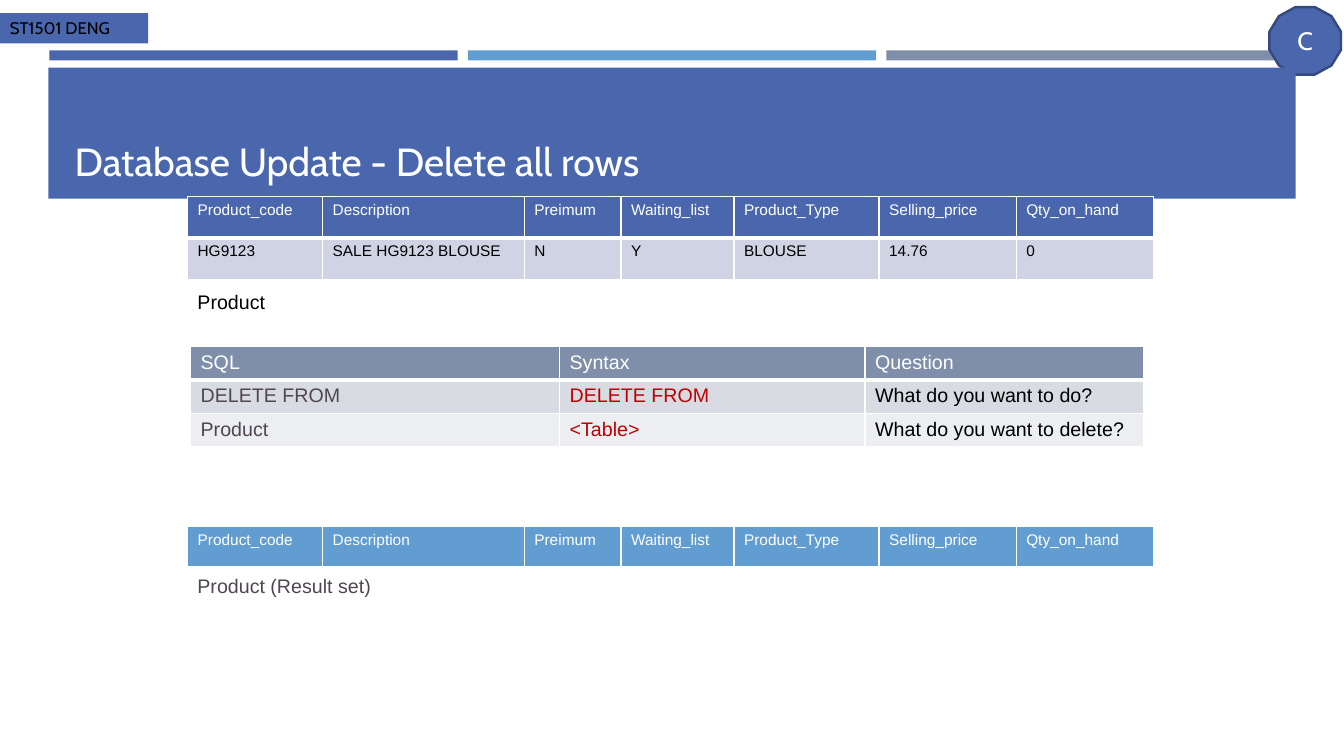
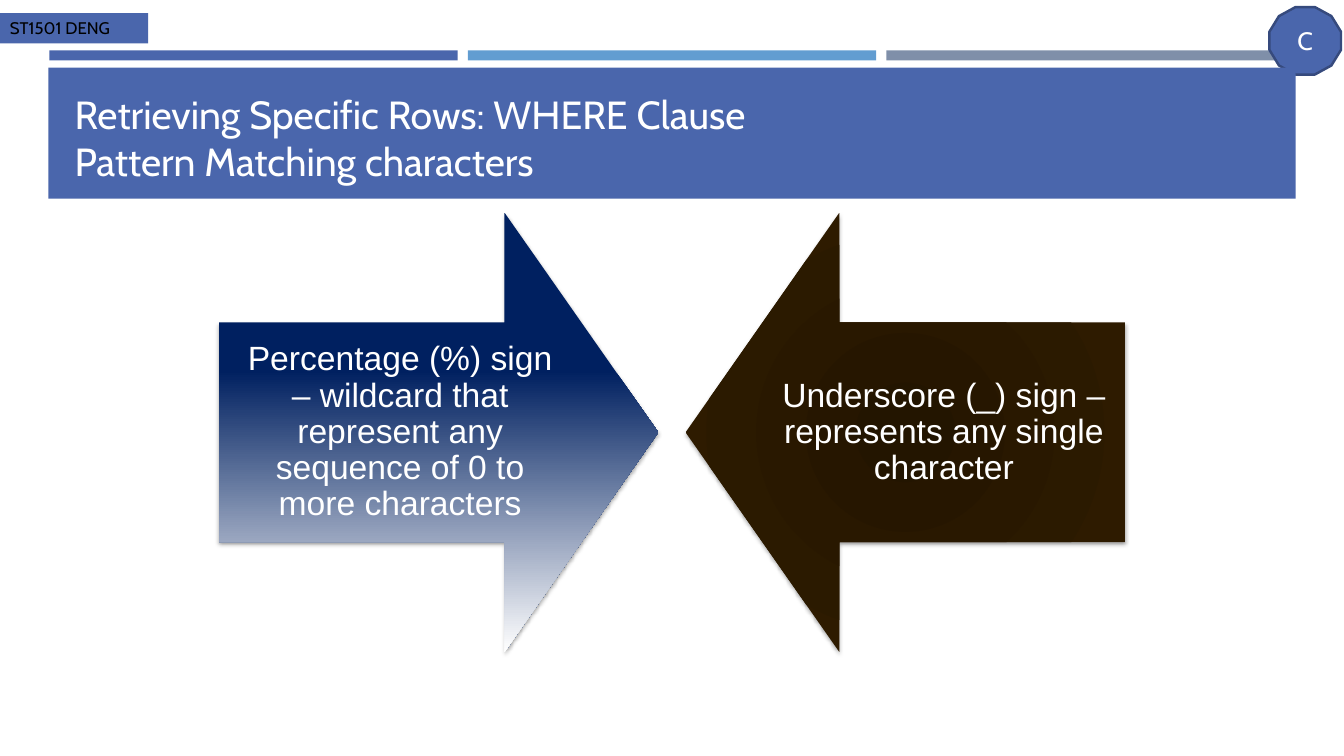
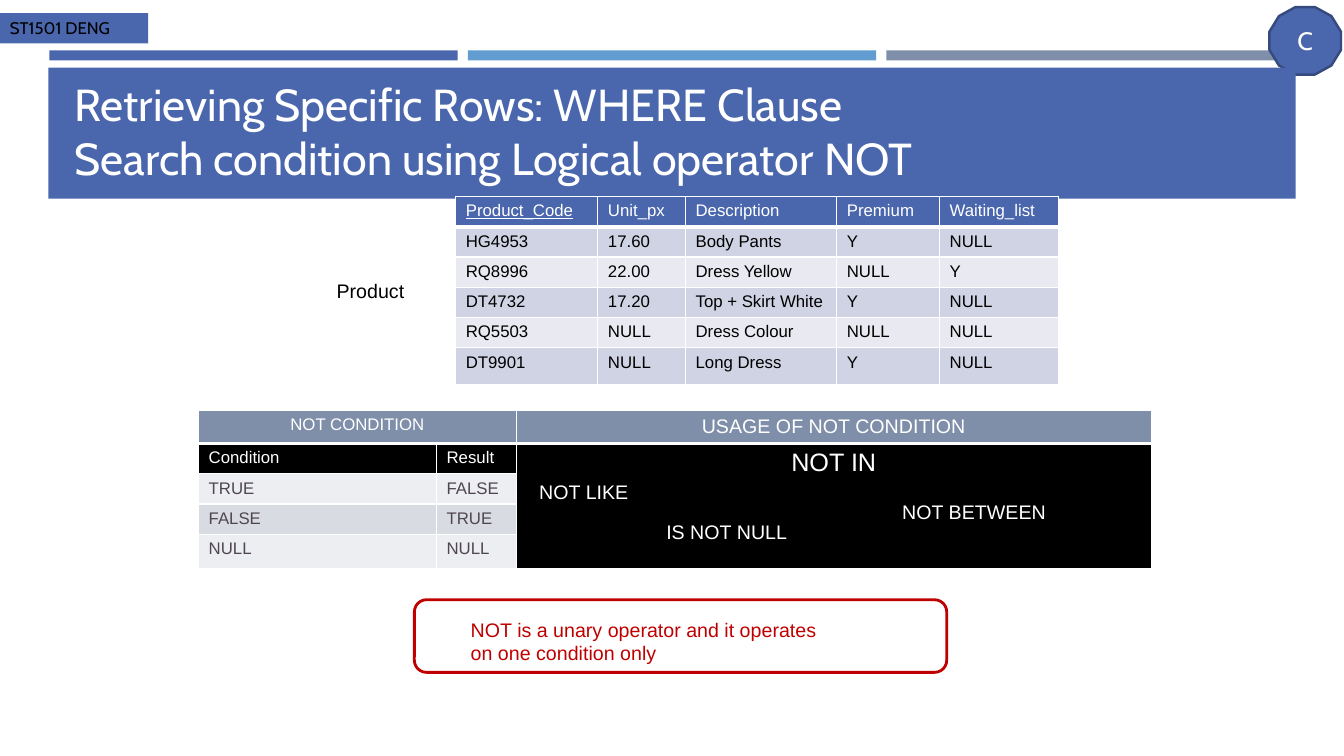
import copy
import itertools

import pptx
import pptx.dml.color
import pptx.enum.shapes
import pptx.enum.text
import pptx.oxml
import pptx.oxml.ns
import pptx.util

Inches = pptx.util.Inches
Pt = pptx.util.Pt
MSO_SHAPE = pptx.enum.shapes.MSO_SHAPE
MSO_ANCHOR = pptx.enum.text.MSO_ANCHOR
MSO_AUTO_SIZE = pptx.enum.text.MSO_AUTO_SIZE
PP_ALIGN = pptx.enum.text.PP_ALIGN
color = pptx.dml.color.RGBColor.from_string
qn = pptx.oxml.ns.qn
NAMESPACE = pptx.oxml.ns.nsdecls("a")

BLUE, SKY, SLATE = "4A66AC", "629DD1", "7F8FA9"
BLUE_BAND, BLUE_PALE = "D0D3E3", "E9EAF1"
SLATE_BAND, SLATE_PALE = "D8DBE2", "ECEEF1"
WHITE, BLACK, RED, PLUM, NAVY = "FFFFFF", "000000", "C00000", "504652", "002060"


def add_text(paragraph, text, size, hex_color, font="Arial"):
    for index, line in enumerate(text.split("\n")):
        if index:
            paragraph.add_line_break()
            paragraph._p[-1].append(copy.deepcopy(run._r.rPr))
        run = paragraph.add_run()
        run.text = line
        run.font.size = Pt(size)
        run.font.name = font
        run.font.color.rgb = color(hex_color)


def add_grid(slide, left, top, widths, heights, rows):
    frame = slide.shapes.add_table(
        len(rows), len(widths), Inches(left), Inches(top),
        Inches(sum(widths)), Inches(sum(heights)))
    table = frame.table
    table.first_row = False
    table.horz_banding = False
    for column, width in zip(table.columns, widths):
        column.width = Inches(width)
    for row, height in zip(table.rows, heights):
        row.height = Inches(height)
    for row_index, (fill, colors, sizes, texts) in enumerate(rows):
        cells = zip(texts, itertools.cycle(colors), itertools.cycle(sizes))
        for column_index, (text, text_color, size) in enumerate(cells):
            cell = table.cell(row_index, column_index)
            properties = cell._tc.get_or_add_tcPr()
            for side in "LRTB":
                width = Pt(3 if side == "B" and row_index == 0 else 1)
                properties.append(pptx.oxml.parse_xml(
                    f'<a:ln{side} {NAMESPACE} w="{width}"><a:solidFill>'
                    f'<a:srgbClr val="{WHITE}"/></a:solidFill></a:ln{side}>'))
            cell.fill.solid()
            cell.fill.fore_color.rgb = color(fill)
            if text:
                add_text(cell.text_frame.paragraphs[0], text, size, text_color)
    return table


presentation = pptx.Presentation()
presentation.slide_width = Inches(13.33)
presentation.slide_height = Inches(7.5)
layout = presentation.slide_layouts[5]

titles = [
    ("Database Update - Delete all rows", 28),
    ("Retrieving Specific Rows: WHERE Clause \nPattern Matching characters", 28),
    ("Retrieving Specific Rows: WHERE Clause \n"
     "Search condition using Logical operator NOT", 32),
]
for text, size in titles:
    title = presentation.slides.add_slide(layout).shapes.title
    title.left, title.top = Inches(0.64), Inches(0.77)
    title.width, title.height = Inches(12.06), Inches(1.11)
    title.text_frame.auto_size = MSO_AUTO_SIZE.NONE
    title.text_frame.vertical_anchor = MSO_ANCHOR.BOTTOM
    paragraph = title.text_frame.paragraphs[0]
    paragraph.alignment = PP_ALIGN.LEFT
    add_text(paragraph, text, size, WHITE, "Cabin")
delete_slide, pattern_slide, not_slide = presentation.slides

frame_parts = [
    (MSO_SHAPE.RECTANGLE, 0.49 + 4.15 * index, 0.5, 4.05, 0.1, fill, None)
    for index, fill in enumerate((BLUE, SKY, SLATE))
]
frame_parts += [
    (MSO_SHAPE.DODECAGON, 12.59, 0.07, 0.71, 0.67, BLUE,
     ("C", 18, WHITE, PP_ALIGN.CENTER)),
    (MSO_SHAPE.RECTANGLE, 0, 0.13, 1.47, 0.3, BLUE,
     ("ST1501 DENG", 12, BLACK, PP_ALIGN.LEFT)),
    (MSO_SHAPE.RECTANGLE, 0.48, 0.67, 12.37, 1.3, BLUE, None),
]
for kind, left, top, width, height, fill, label in frame_parts:
    shape = delete_slide.shapes.add_shape(
        kind, Inches(left), Inches(top), Inches(width), Inches(height))
    shape.shadow.inherit = False
    shape.fill.solid()
    shape.fill.fore_color.rgb = color(fill)
    if kind == MSO_SHAPE.DODECAGON:
        shape.line.color.rgb = color("364A7D")
        shape.line.width = Pt(1.75)
    else:
        shape.line.fill.background()
    if label:
        text, size, text_color, alignment = label
        paragraph = shape.text_frame.paragraphs[0]
        paragraph.alignment = alignment
        add_text(paragraph, text, size, text_color, "Cabin")
    layout.shapes.element.append(shape.element)

product_columns = ["Product_code", "Description", "Preimum", "Waiting_list",
                   "Product_Type", "Selling_price", "Qty_on_hand"]
product_widths = [1.34, 2, 0.96, 1.12, 1.44, 1.36, 1.36]
sql_colors = [PLUM, RED, BLACK]
add_grid(delete_slide, 1.89, 3.44, [3.66, 3.03, 2.76], [0.33] * 3, [
    (SLATE, [WHITE], [14], ["SQL", "Syntax", "Question"]),
    (SLATE_BAND, sql_colors, [14],
     ["DELETE FROM", "DELETE FROM", "What do you want to do?"]),
    (SLATE_PALE, sql_colors, [14],
     ["Product", "<Table>", "What do you want to delete?"]),
])
add_grid(delete_slide, 1.86, 1.95, product_widths, [0.41] * 2, [
    (BLUE, [WHITE], [11], product_columns),
    (BLUE_BAND, [BLACK], [11],
     ["HG9123", "SALE HG9123 BLOUSE", "N", "Y", "BLOUSE", "14.76", "0"]),
])
add_grid(delete_slide, 1.86, 5.22, product_widths, [0.41], [
    (SKY, [WHITE], [11], product_columns),
])

arrows = [
    (MSO_SHAPE.RIGHT_ARROW, 2.17, [(0.36, NAVY), (1, WHITE)],
     "Percentage (%) sign – wildcard that represent any sequence of 0 to more characters"),
    (MSO_SHAPE.LEFT_ARROW, 6.8, [(0, "231500"), (0.8, "2E1B00")],
     "Underscore (_) sign – represents any single character"),
]
for kind, left, stops, text in arrows:
    arrow = pattern_slide.shapes.add_shape(
        kind, Inches(left), Inches(2.11), Inches(4.36), Inches(4.36))
    arrow.adjustments[0] = 0.5
    arrow.adjustments[1] = 0.35
    arrow.line.fill.background()
    arrow.fill.gradient()
    arrow.fill.gradient_angle = 270
    for stop, (position, stop_color) in zip(arrow.fill.gradient_stops, stops):
        stop.position = position
        stop.color.rgb = color(stop_color)
    if kind == MSO_SHAPE.LEFT_ARROW:
        linear = arrow.element.find(".//" + qn("a:lin"))
        linear.getparent().replace(linear, pptx.oxml.parse_xml(
            f'<a:path {NAMESPACE} path="circle">'
            '<a:fillToRect l="50000" t="50000" r="50000" b="50000"/></a:path>'))
    arrow.shadow.inherit = False
    arrow.element.find(".//" + qn("a:effectLst")).append(pptx.oxml.parse_xml(
        f'<a:outerShdw {NAMESPACE} blurRad="{Pt(3.1)}" dist="{Pt(1.8)}" dir="5400000">'
        f'<a:srgbClr val="{BLACK}"><a:alpha val="35000"/></a:srgbClr></a:outerShdw>'))
    text_frame = arrow.text_frame
    text_frame.word_wrap = True
    text_frame.vertical_anchor = MSO_ANCHOR.MIDDLE
    text_frame.margin_left = text_frame.margin_right = Inches(0.19)
    text_frame.margin_top = text_frame.margin_bottom = Inches(0.19)
    paragraph = text_frame.paragraphs[0]
    paragraph.alignment = PP_ALIGN.CENTER
    paragraph.line_spacing = 0.9
    add_text(paragraph, text, 24, WHITE)

condition_table = add_grid(
    not_slide, 1.97, 4.07, [2.36, 0.79, 6.3], [0.33, 0.3, 0.3, 0.3, 0.34], [
        (SLATE, [WHITE], [12, 12, 14], ["NOT CONDITION", "", "USAGE OF NOT CONDITION"]),
        (BLACK, [WHITE], [12, 12, 18], ["Condition", "Result", "NOT IN"]),
        (SLATE_PALE, [PLUM], [12], ["TRUE", "FALSE", ""]),
        (SLATE_BAND, [PLUM], [12], ["FALSE", "TRUE", ""]),
        (SLATE_PALE, [PLUM], [12], ["NULL", "NULL", ""]),
    ])
condition_table.cell(0, 0).merge(condition_table.cell(0, 1))
condition_table.cell(1, 2).merge(condition_table.cell(4, 2))
for row_index, column_index in ((0, 0), (0, 2), (1, 2)):
    cell = condition_table.cell(row_index, column_index)
    cell.text_frame.paragraphs[0].alignment = PP_ALIGN.CENTER

product_table = add_grid(
    not_slide, 4.52, 1.95, [1.41, 0.87, 1.5, 1.02, 1.18], [0.3] * 5 + [0.37], [
        (BLUE, [WHITE], [12],
         ["Product_Code", "Unit_px", "Description", "Premium", "Waiting_list"]),
        (BLUE_BAND, [BLACK], [12], ["HG4953", "17.60", "Body Pants", "Y", "NULL"]),
        (BLUE_PALE, [BLACK], [12], ["RQ8996", "22.00", "Dress Yellow", "NULL", "Y"]),
        (BLUE_BAND, [BLACK], [12], ["DT4732", "17.20", "Top + Skirt White", "Y", "NULL"]),
        (BLUE_PALE, [BLACK], [12], ["RQ5503", "NULL", "Dress Colour", "NULL", "NULL"]),
        (BLUE_BAND, [BLACK], [12], ["DT9901", "NULL", "Long Dress", "Y", "NULL"]),
    ])
product_table.cell(0, 0).text_frame.paragraphs[0].runs[0].font.underline = True

note_box = not_slide.shapes.add_shape(
    MSO_SHAPE.ROUNDED_RECTANGLE, Inches(4.11), Inches(5.95), Inches(5.28), Inches(0.72))
note_box.shadow.inherit = False
note_box.fill.background()
note_box.line.color.rgb = color(RED)
note_box.line.width = Pt(2)

labels = [
    (delete_slide, 1.86, 2.83, 0.88, "Product", BLACK),
    (delete_slide, 1.86, 5.64, 1.93, "Product (Result set)", PLUM),
    (not_slide, 3.24, 2.72, 0.88, "Product", BLACK),
    (not_slide, 5.25, 4.71, 1.1, "NOT LIKE", WHITE),
    (not_slide, 8.85, 4.91, 1.64, "NOT BETWEEN", WHITE),
    (not_slide, 6.51, 5.11, 1.41, "IS NOT NULL", WHITE),
    (not_slide, 4.57, 6.08, 3.65,
     "NOT is a unary operator and it operates\non one condition only", RED),
]
for slide, left, top, width, text, text_color in labels:
    label_box = slide.shapes.add_textbox(
        Inches(left), Inches(top), Inches(width), Inches(0.34))
    label_box.text_frame.word_wrap = False
    label_box.text_frame.auto_size = MSO_AUTO_SIZE.SHAPE_TO_FIT_TEXT
    add_text(label_box.text_frame.paragraphs[0], text, 14, text_color)

presentation.save("out.pptx")
